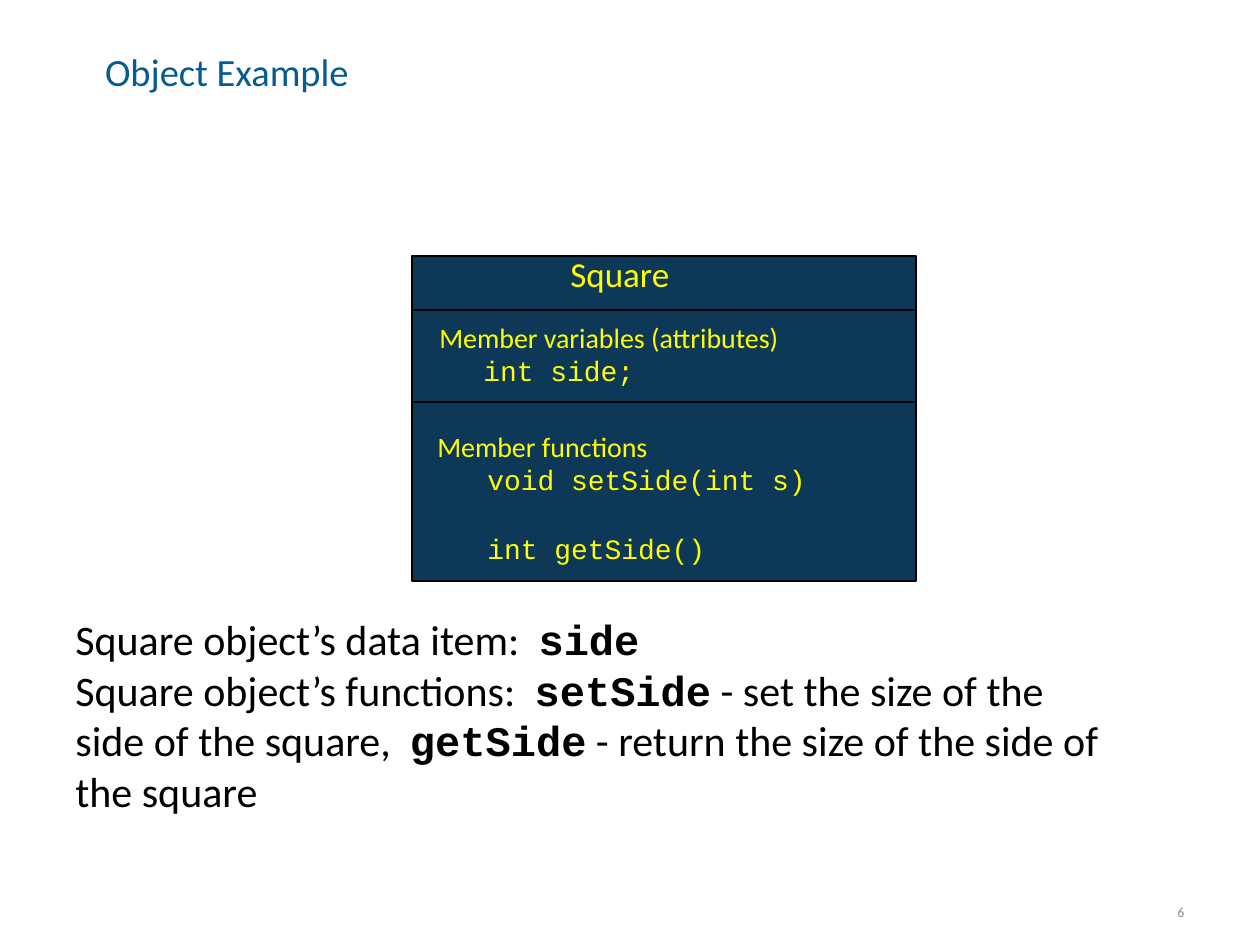
import dataclasses

import pptx
import pptx.dml.color
import pptx.enum.shapes
import pptx.enum.text
import pptx.oxml
import pptx.oxml.ns
import pptx.util

SCALE = 914400 // 126
ALIGN = pptx.enum.text.PP_ALIGN
ANCHOR = pptx.enum.text.MSO_ANCHOR


@dataclasses.dataclass(frozen=True)
class Theme:
    """Hold the colours, fonts and type sizes of the slide."""
    sans: str = "Calibri"
    mono: str = "Courier New"
    head: str = "055C91"
    fill: str = "0D3857"
    label: str = "FFFF00"
    ink: str = "000000"
    muted: str = "8C8C8C"
    title: int = 22
    name: int = 20
    member: int = 16
    body: int = 24
    number: int = 8
    rule: float = 0.75


THEME = Theme()


def px(count):
    """Turn px into EMU."""
    return pptx.util.Emu(count * SCALE)


def rgb(code):
    """Turn a hex code into a colour."""
    return pptx.dml.color.RGBColor.from_string(code)


def add_run(para, text, size, color, font=THEME.sans, bold=False):
    """Add one formatted run to a paragraph."""
    run = para.add_run()
    run.text = text
    run.font.name = font
    run.font.size = pptx.util.Pt(size)
    run.font.bold = bold
    run.font.color.rgb = rgb(color)


def add_text(slide, left, top, width, height, wrap=True):
    """Add an empty text box and return its frame."""
    box = slide.shapes.add_textbox(px(left), px(top), px(width), px(height))
    box.text_frame.word_wrap = wrap
    return box.text_frame


def add_rule(slide, left, top, width):
    """Add a level line."""
    line = slide.shapes.add_connector(
        pptx.enum.shapes.MSO_CONNECTOR.STRAIGHT,
        px(left), px(top), px(left + width), px(top))
    line.line.color.rgb = rgb(THEME.ink)
    line.line.width = pptx.util.Pt(THEME.rule)
    props = line._element.spPr
    props.append(pptx.oxml.parse_xml(
        "<a:effectLst %s/>" % pptx.oxml.ns.nsdecls("a")))


def add_title(slide, left, top, width, height):
    """Place and format the title."""
    title = slide.shapes.title
    title.left, title.top = px(left), px(top)
    title.width, title.height = px(width), px(height)
    frame = title.text_frame
    frame.auto_size = pptx.enum.text.MSO_AUTO_SIZE.NONE
    frame.vertical_anchor = ANCHOR.MIDDLE
    frame.margin_left = frame.margin_right = 0
    frame.margin_top = frame.margin_bottom = 0
    para = frame.paragraphs[0]
    para.alignment = ALIGN.LEFT
    para.line_spacing = 0.85
    add_run(para, "Object Example", THEME.title, THEME.head)


def add_members(slide, left, top, width, height, label, codes, indent):
    """Add a heading with indented lines of code below it."""
    frame = add_text(slide, left, top, width, height)
    add_run(frame.paragraphs[0], label, THEME.member, THEME.label)
    for index, code in enumerate(codes):
        para = frame.add_paragraph()
        para._p.get_or_add_pPr().set("marL", str(px(indent)))
        if index:
            para.space_before = pptx.util.Pt(20)
        add_run(para, code, THEME.member, THEME.label, THEME.mono)


def add_class(slide, left, top, width, height):
    """Add the class diagram with its three parts."""
    rect = slide.shapes.add_shape(
        pptx.enum.shapes.MSO_SHAPE.RECTANGLE,
        px(left), px(top), px(width), px(height))
    rect.shadow.inherit = False
    rect.fill.solid()
    rect.fill.fore_color.rgb = rgb(THEME.fill)
    rect.line.color.rgb = rgb(THEME.ink)
    rect.line.width = pptx.util.Pt(THEME.rule)
    add_members(slide, left + 15, top + 58, 494, 81,
                "Member variables (attributes)", ["int side;"], 44)
    add_rule(slide, left, top + 146, width)
    add_members(slide, left + 13, top + 167, width, 183,
                "Member functions",
                ["void setSide(int s)", "int getSide()"], 50)
    name = add_text(slide, left + 146, top - 10, 199, 55)
    add_run(name.paragraphs[0], "Square", THEME.name, THEME.label)
    add_rule(slide, left, top + 54, width)


def add_notes(slide, left, top, width, height):
    """Add the explanation, with code names in bold."""
    frame = add_text(slide, left, top, width, height)
    frame.margin_top = px(57)
    lines = [
        [("Square object’s data item:  ", False), ("side", True)],
        [("Square object’s functions:  ", False), ("setSide", True),
         (" - set the size of the side of the square,  ", False),
         ("getSide", True),
         (" - return the size of the side of the square", False)],
    ]
    for index, parts in enumerate(lines):
        para = frame.add_paragraph() if index else frame.paragraphs[0]
        for text, code in parts:
            font = THEME.mono if code else THEME.sans
            add_run(para, text, THEME.body, THEME.ink, font, code)


def add_number(slide, left, top, width, height):
    """Add the slide number."""
    frame = add_text(slide, left, top, width, height, False)
    frame.vertical_anchor = ANCHOR.MIDDLE
    para = frame.paragraphs[0]
    para.alignment = ALIGN.RIGHT
    add_run(para, "6", THEME.number, THEME.muted)


def main():
    """Build and save the slide."""
    deck = pptx.Presentation()
    deck.slide_width, deck.slide_height = px(1260), px(945)
    slide = deck.slides.add_slide(deck.slide_layouts[5])
    add_number(slide, 1154, 897, 43, 30)
    add_title(slide, 105, 55, 1106, 40)
    add_class(slide, 412, 256, 504, 325)
    add_notes(slide, 63, 557, 1071, 318)
    deck.save("out.pptx")


if __name__ == "__main__":
    main()
